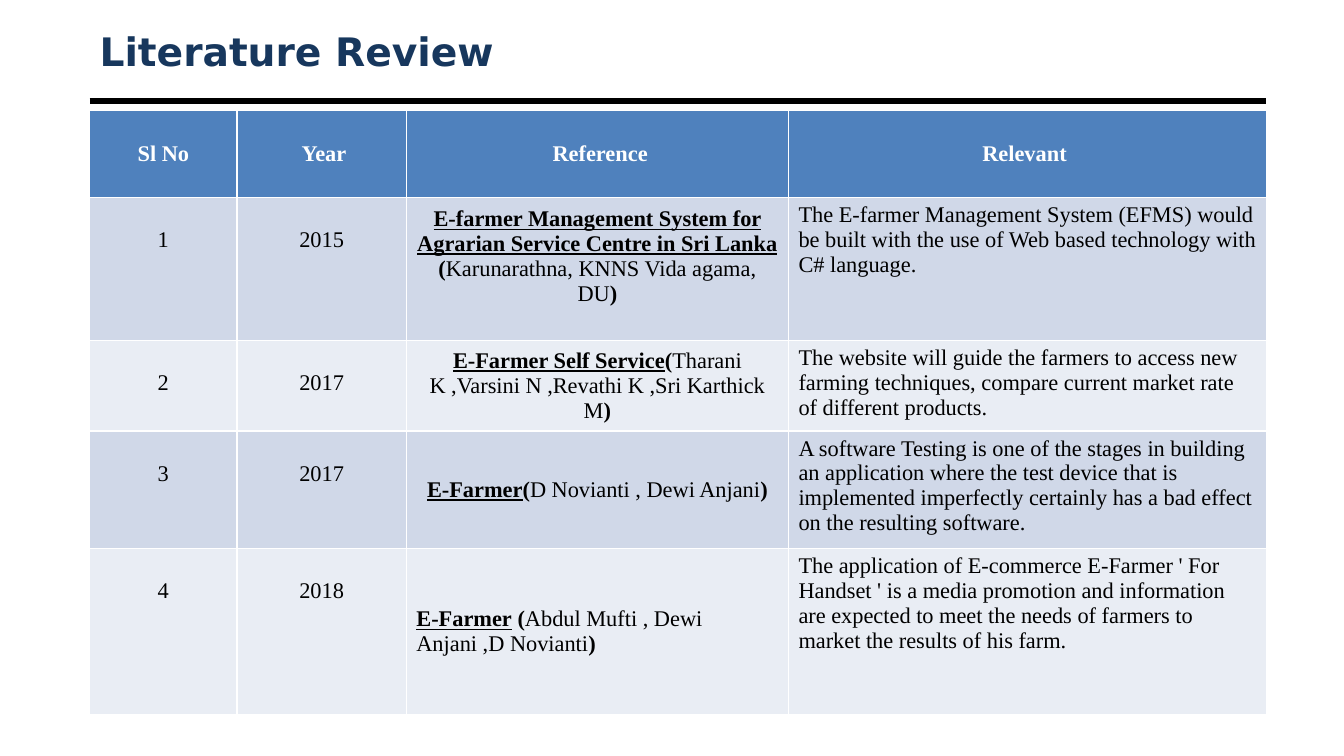
from pptx import Presentation
from pptx.dml.color import RGBColor
from pptx.enum.shapes import MSO_CONNECTOR
from pptx.enum.text import MSO_ANCHOR, PP_ALIGN
from pptx.oxml.ns import qn
from pptx.util import Pt

PX = 9144  # 100 px to the inch
STRAIGHT = MSO_CONNECTOR.STRAIGHT
TOP, MIDDLE = MSO_ANCHOR.TOP, MSO_ANCHOR.MIDDLE
LEFT, CENTER = PP_ALIGN.LEFT, PP_ALIGN.CENTER

BLACK = RGBColor(0x00, 0x00, 0x00)
WHITE = RGBColor(0xFF, 0xFF, 0xFF)
NAVY = RGBColor(0x17, 0x37, 0x5D)
BLUE = RGBColor(0x4F, 0x81, 0xBD)
BANDS = RGBColor(0xD0, 0xD8, 0xE8), RGBColor(0xE9, 0xED, 0xF4)

HEADING = {"name": "DejaVu Sans", "size": Pt(28), "bold": True}
BODY = {"name": "Times New Roman", "size": Pt(16), "bold": False}
BOLD = {**BODY, "bold": True}
LINK = {**BOLD, "underline": True}

WIDTHS = 146, 168, 379, 474
HEIGHTS = 86, 133, 87, 108, 165
DROP = 30  # inset that leaves one line free
HEADS = "Sl No", " Year", " Reference", "Relevant "

# Year, work, opening bracket, authors, relevance
STUDIES = [
    ("2015", "E-farmer Management System for Agrarian Service Centre in Sri Lanka",
     " (", "Karunarathna, KNNS Vida agama, DU",
     "The E-farmer Management System (EFMS) would be built with the use of "
     "Web based technology with C# language."),
    ("2017", "E-Farmer Self Service",
     "(", "Tharani K ,Varsini N ,Revathi K ,Sri Karthick M",
     "The website will guide the farmers to access new farming techniques, "
     "compare current market rate of different products."),
    ("2017", "E-Farmer",
     "(", "D Novianti , Dewi Anjani",
     "A software Testing is one of the stages in building an application where "
     "the test device that is implemented imperfectly certainly has a bad effect "
     "on the resulting software."),
    ("2018", "E-Farmer",
     " (", "Abdul Mufti , Dewi Anjani ,D Novianti",
     "The application of E-commerce E-Farmer ' For Handset ' is a media promotion "
     "and information are expected to meet the needs of farmers to market the "
     "results of his farm."),
]


class Deck:
    def __init__(self, width, height):
        self.show = Presentation()
        self.show.slide_width, self.show.slide_height = width * PX, height * PX
        self.slide = self.show.slides.add_slide(self.show.slide_layouts[6])

    def fill_text(self, frame, runs, color, align=LEFT):
        para = frame.paragraphs[0]
        para.alignment = align
        for text, style in runs:
            run = para.add_run()
            run.text = text
            run.font.color.rgb = color
            for key, value in style.items():
                setattr(run.font, key, value)

    def text(self, box, runs, color):
        frame = self.slide.shapes.add_textbox(*(n * PX for n in box)).text_frame
        frame.word_wrap = True
        frame.vertical_anchor = MIDDLE
        self.fill_text(frame, runs, color)

    def line(self, ends, color, weight):
        rule = self.slide.shapes.add_connector(STRAIGHT, *(n * PX for n in ends))
        rule.line.color.rgb = color
        rule.line.width = Pt(weight)
        props = rule._element.spPr
        props.append(props.makeelement(qn("a:effectLst"), {}))

    def table(self, left, top, widths, heights):
        size = sum(widths) * PX, sum(heights) * PX
        grid = self.slide.shapes.add_table(
            len(heights), len(widths), left * PX, top * PX, *size).table
        grid.horz_banding = False
        for col, width in zip(grid.columns, widths):
            col.width = width * PX
        for row, height in zip(grid.rows, heights):
            row.height = height * PX
        return grid

    def cell(self, cell, runs, fill, color=BLACK, align=CENTER, anchor=TOP, drop=5):
        cell.fill.solid()
        cell.fill.fore_color.rgb = fill
        cell.vertical_anchor = anchor
        cell.margin_top = drop * PX
        self.fill_text(cell.text_frame, runs, color, align)


def main():
    deck = Deck(1333, 750)

    # Title and rule
    deck.line((89, 100, 1256, 100), BLACK, 4.5)
    deck.text((89, 24, 1167, 53), [("Literature Review", HEADING)], NAVY)

    # Header row
    grid = deck.table(89, 110, WIDTHS, HEIGHTS)
    for col, head in enumerate(HEADS):
        deck.cell(grid.cell(0, col), [(head, BOLD)], BLUE, WHITE, drop=DROP)

    # One row for each study
    for row, (year, work, mark, names, gist) in enumerate(STUDIES, 1):
        fill = BANDS[(row - 1) % 2]
        for col, text in enumerate((str(row), year)):
            deck.cell(grid.cell(row, col), [(text, BODY)], fill, drop=DROP)
        cite = [(work, LINK), (mark, BOLD), (names, BODY), (")", BOLD)]
        align = LEFT if row == len(STUDIES) else CENTER
        deck.cell(grid.cell(row, 2), cite, fill, align=align, anchor=MIDDLE)
        deck.cell(grid.cell(row, 3), [(gist, BODY)], fill, align=LEFT)
    grid.cell(1, 2).margin_bottom = DROP * PX

    deck.show.save("out.pptx")


if __name__ == "__main__":
    main()
